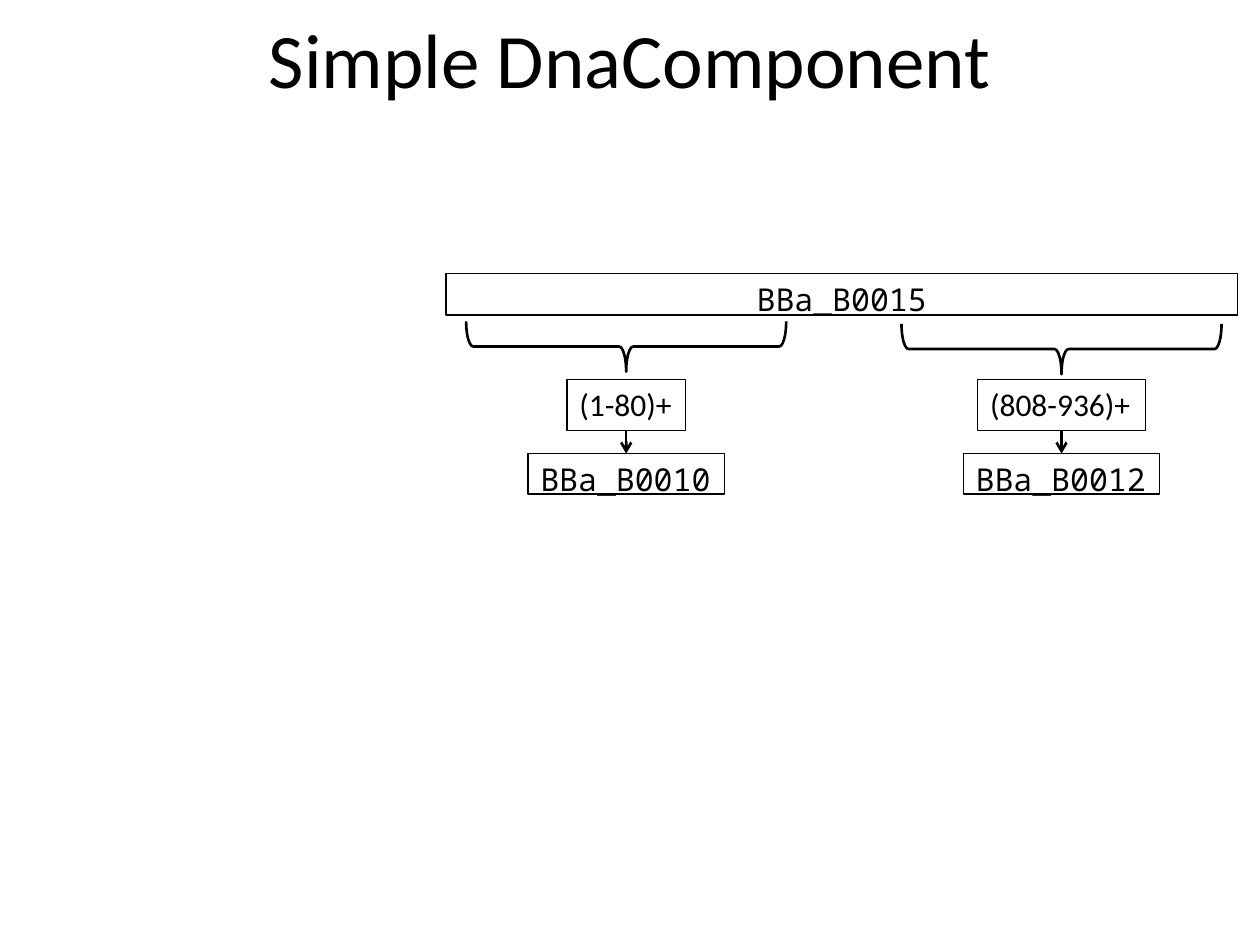
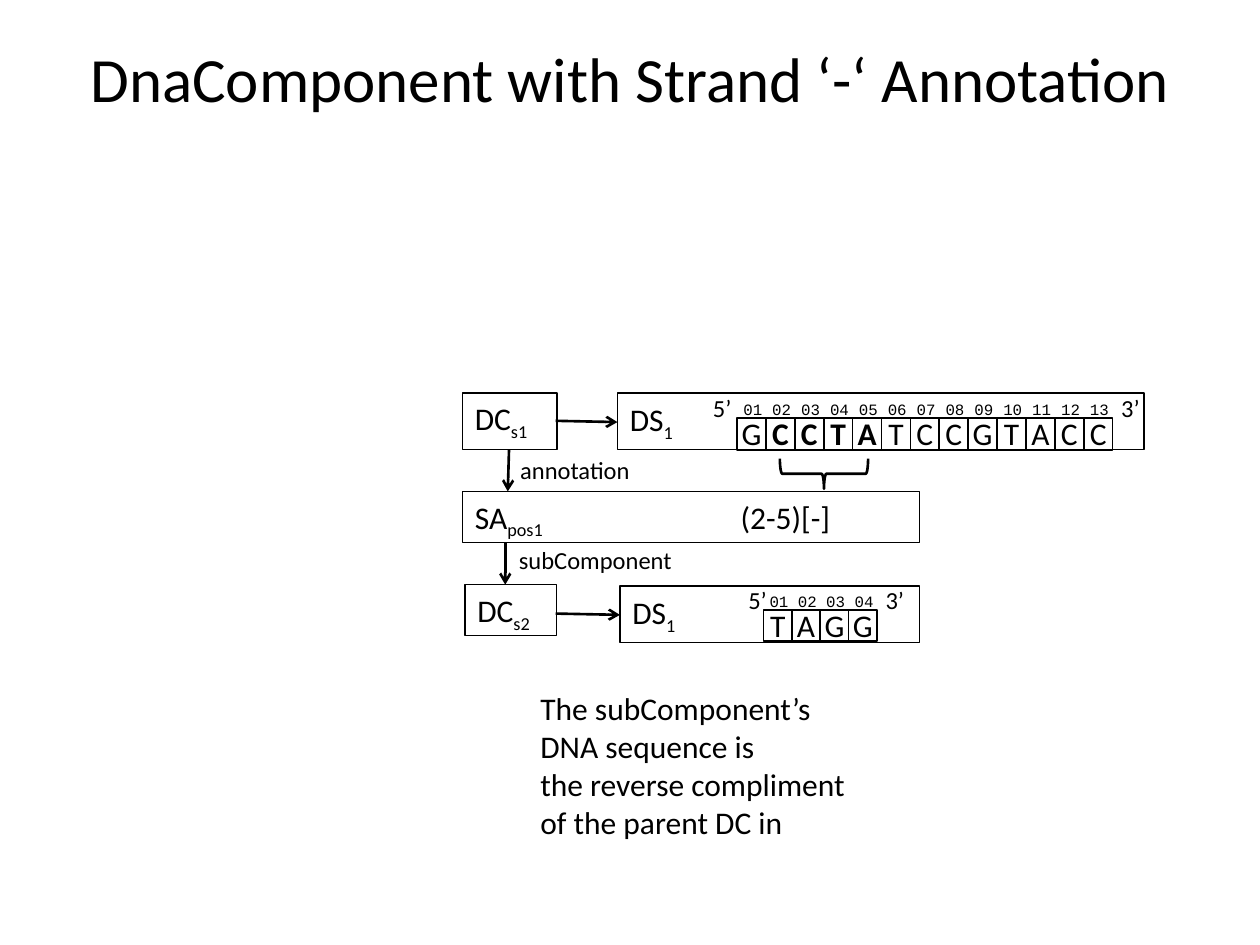
from dataclasses import dataclass
import pptx
import pptx.util
import pptx.dml.color
import pptx.enum.shapes
import pptx.enum.text
import pptx.oxml
import pptx.oxml.ns

SHAPE = pptx.enum.shapes.MSO_SHAPE
ALIGN = pptx.enum.text.PP_ALIGN
ANCHOR = pptx.enum.text.MSO_ANCHOR
BLACK = "000000"
SANS, MONO, DIGITS = "Calibri", "Noto Sans Mono", "Courier New"

prs = pptx.Presentation()
prs.slide_width = pptx.util.Inches(10)
prs.slide_height = pptx.util.Inches(7.5)

# Grid: 100 columns by 75 rows
COL = prs.slide_width / 100
ROW = prs.slide_height / 75


@dataclass
class Box:
    """Left and width in columns, top and height in rows."""
    x: float
    y: float
    w: float
    h: float

    def emu(self) -> tuple:
        return (round(self.x * COL), round(self.y * ROW),
                round(self.w * COL), round(self.h * ROW))


@dataclass
class Branch:
    """One annotated component under the parent on the first slide."""
    center: float
    brace_top: float
    span: str
    span_width: float
    component: str


@dataclass
class Strand:
    """A numbered row of bases between its 5' and 3' ends."""
    bases: str
    frame: Box
    five_x: float
    bold: range = range(0)


def color(value: str):
    return pptx.dml.color.RGBColor.from_string(value)


def write(tf, text: str, *, size=18, font=SANS, bold=False, align=ALIGN.LEFT,
          anchor=ANCHOR.TOP, wrap=False, tab=None) -> None:
    """Lines split at newlines; text between underscore braces, _{..}, is subscript."""
    tf.word_wrap = wrap
    tf.auto_size = pptx.enum.text.MSO_AUTO_SIZE.NONE
    tf.vertical_anchor = anchor
    for i, line_text in enumerate(text.split("\n")):
        p = tf.add_paragraph() if i else tf.paragraphs[0]
        p.alignment = align
        if tab:
            stops = pptx.oxml.parse_xml(
                f'<a:tabLst {pptx.oxml.ns.nsdecls("a")}>'
                f'<a:tab pos="{round(tab * COL)}" algn="l"/></a:tabLst>')
            p._p.get_or_add_pPr().append(stops)
        pieces = line_text.replace("_{", "}").split("}")
        for k, piece in enumerate(pieces):
            if not piece:
                continue
            r = p.add_run()
            r.text = piece
            r.font.size = pptx.util.Pt(size)
            r.font.name = font
            r.font.bold = bold
            r.font.color.rgb = color(BLACK)
            if k % 2:
                r._r.get_or_add_rPr().set("baseline", "-25000")


def outline(shapes, kind, box: Box, weight: float):
    sp = shapes.add_shape(kind, *box.emu())
    sp.shadow.inherit = False
    sp.fill.background()
    sp.line.color.rgb = color(BLACK)
    sp.line.width = pptx.util.Pt(weight)
    return sp


def frame(shapes, box: Box, text="", weight=0.75, **fmt) -> None:
    sp = outline(shapes, SHAPE.RECTANGLE, box, weight)
    if text:
        write(sp.text_frame, text, **fmt)


def label(shapes, box: Box, text: str, **fmt) -> None:
    write(shapes.add_textbox(*box.emu()).text_frame, text, **fmt)


def line(shapes, x1, y1, x2, y2, weight=1.5, arrow=True) -> None:
    sp = shapes.add_connector(
        pptx.enum.shapes.MSO_CONNECTOR.STRAIGHT,
        round(x1 * COL), round(y1 * ROW), round(x2 * COL), round(y2 * ROW))
    sp.line.color.rgb = color(BLACK)
    sp.line.width = pptx.util.Pt(weight)
    ns = pptx.oxml.ns.nsdecls("a")
    spPr = sp._element.spPr
    if arrow:
        spPr.find(pptx.oxml.ns.qn("a:ln")).append(
            pptx.oxml.parse_xml(f'<a:tailEnd {ns} type="arrow"/>'))
    spPr.append(pptx.oxml.parse_xml(f"<a:effectLst {ns}/>"))


def brace(shapes, box: Box, curve: float) -> None:
    """A brace opening upwards; box is the area it covers once turned."""
    cx, cy = box.x + box.w / 2, box.y + box.h / 2
    turned = Box(cx - box.h / 2, cy - box.w / 2, box.h, box.w)
    sp = outline(shapes, SHAPE.LEFT_BRACE, turned, 1.5)
    sp.adjustments[0] = curve
    sp.rotation = 270


def new_slide(title: str, box: Box, size: int):
    s = prs.slides.add_slide(prs.slide_layouts[5])
    sp = s.shapes.title
    sp.left, sp.top, sp.width, sp.height = box.emu()
    write(sp.text_frame, title, size=size, align=ALIGN.CENTER,
          anchor=ANCHOR.MIDDLE, wrap=True)
    return s


def draw_branch(s, b: Branch) -> None:
    shapes = s.shapes.add_group_shape().shapes
    frame(shapes, Box(b.center - b.span_width / 2, 30.1, b.span_width, 4.05), b.span)
    line(shapes, b.center, 34.2, b.center, 36)
    frame(shapes, Box(b.center - 7.8, 36, 15.6, 3.2), b.component, font=MONO)
    brace(s.shapes, Box(b.center - 12.7, b.brace_top, 25.4, 4), 0.14)


def draw_strand(s, strand: Strand) -> None:
    shapes = s.shapes.add_group_shape().shapes
    f = strand.frame
    pitch = f.w / len(strand.bases)
    frame(shapes, f, weight=1)
    for x, end in ((strand.five_x, "5’"), (f.x + f.w - 0.3, "3’")):
        label(shapes, Box(x, f.y - 2.5, 3.5, 3.4), end, size=14)
    for i in range(len(strand.bases) + 1):
        x = f.x + i * pitch
        line(shapes, x, f.y, x, f.y + f.h, weight=1, arrow=False)
    for i, base in enumerate(strand.bases, 1):
        left = f.x + (i - 0.5) * pitch - 1.75
        label(shapes, Box(left, f.y - 0.8, 3.5, 4), base,
              bold=i in strand.bold, align=ALIGN.CENTER)
        label(shapes, Box(left + 0.1, f.y - 1.95, 3.5, 2.5), f"{i:02d}",
              size=9, font=DIGITS, align=ALIGN.CENTER)


# Slide 1: a parent with two annotated components
s = new_slide("Simple DnaComponent", Box(5, -1.7, 90, 12.5), 44)
frame(s.shapes, Box(35.4, 21.7, 62.8, 3.3), "BBa_B0015", font=MONO,
      align=ALIGN.CENTER, wrap=True)
for branch in (Branch(49.7, 25.5, "(1-80)+", 9.4, "BBa_B0010"),
               Branch(84.25, 25.7, "(808-936)+", 13.3, "BBa_B0012")):
    draw_branch(s, branch)

# Slide 2: an annotation on the reverse strand
s = new_slide("DnaComponent with Strand ‘-‘ Annotation", Box(5, 3, 90, 6.2), 36)

# Components, annotation and sequences
frame(s.shapes, Box(36.7, 31.2, 7.5, 4.5), "DC_{s1}")
frame(s.shapes, Box(49, 31.2, 41.8, 4.5), "DS_{1}", anchor=ANCHOR.MIDDLE, wrap=True)
frame(s.shapes, Box(36.7, 39, 36.3, 4.05), "SA_{pos1}\t(2-5)[-]", wrap=True, tab=21.1)
frame(s.shapes, Box(36.9, 46.4, 7.3, 4.05), "DC_{s2}", wrap=True)
frame(s.shapes, Box(49.2, 46.5, 23.8, 4.5), "DS_{1}", anchor=ANCHOR.MIDDLE, wrap=True)

# Bases
for strand in (Strand("GCCTATCCGTACC", Box(58.5, 33.2, 29.8, 2.5), 55.6, range(2, 6)),
               Strand("TAGG", Box(60.6, 48.4, 9, 2.5), 58.4)):
    draw_strand(s, strand)
brace(s.shapes, Box(61.9, 36.4, 7, 2.4), 0.08)

# Links and their names
for ends in ((40.4, 35.7, 40.3, 39), (44.1, 33.4, 49, 33.5),
             (40.1, 43.1, 40.1, 46.4), (44.1, 48.7, 49.2, 48.8)):
    line(s.shapes, *ends)
label(s.shapes, Box(40.3, 35.6, 10.8, 3.4), "annotation", size=14)
label(s.shapes, Box(40.2, 42.8, 14.3, 3.4), "subComponent", size=14)

# Remark
label(s.shapes, Box(41.9, 54.2, 26.5, 13.1),
      "The subComponent’s\nDNA sequence is\nthe reverse compliment\nof the parent DC in")

prs.save("out.pptx")
